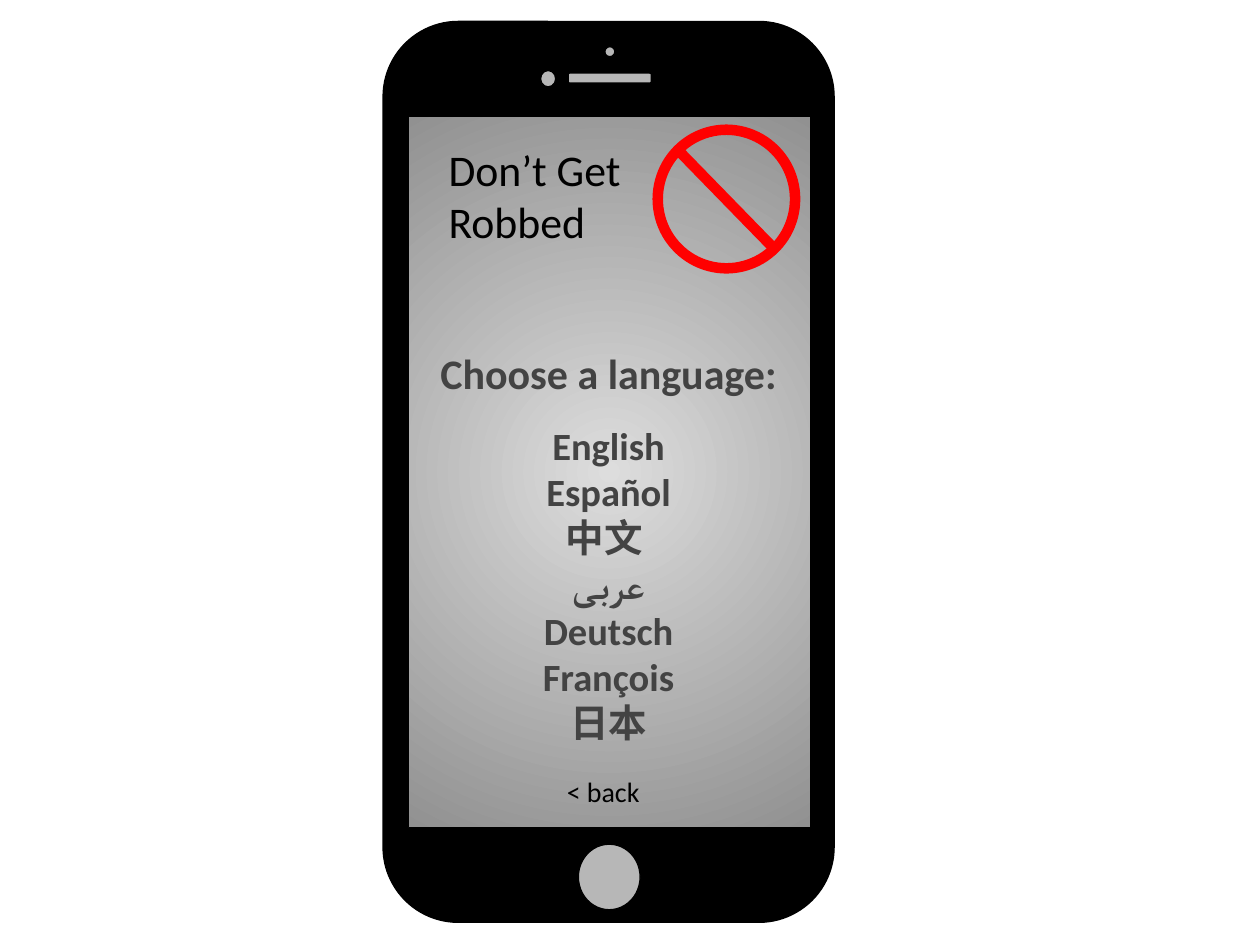
from lxml import etree
from pptx import Presentation
from pptx.dml.color import RGBColor
from pptx.enum import shapes, text
from pptx.oxml import parse_xml
from pptx.oxml.ns import nsdecls, qn
from pptx.util import Inches, Pt

HEX = {"black": "000000", "gray": "B7B7B7", "dark": "434343", "red": "FF0000",
       "glow": "DDDDDD", "edge": "919191"}
TITLE = ["Don’t Get Robbed"]
PROMPT = ["Choose a language:"]
TONGUES = ["English", "Español", "中文 ", "عربى", "Deutsch", "François", "日本"]
BACK = ["< back"]

KIND = shapes.MSO_SHAPE
PHONE = [
    (KIND.ROUNDED_RECTANGLE, (3.04, 0.17, 3.58, 7.15), "black"),
    (KIND.RECTANGLE, (3.24, 0.92, 3.19, 5.65), "glow"),
    (KIND.OVAL, (4.59, 6.7, 0.49, 0.52), "gray"),
    (KIND.ROUNDED_RECTANGLE, (4.51, 0.58, 0.66, 0.08), "gray"),
    (KIND.OVAL, (4.8, 0.37, 0.08, 0.08), "gray"),
    (KIND.OVAL, (4.29, 0.56, 0.12, 0.13), "gray"),
]
RING = (5.22, 1.03, 1.09, 1.1)
SLASH = (5.38, 1.19, 6.15, 1.98)


def color(name):
    return RGBColor.from_string(HEX[name])


def stroke(item, name, width):
    item.line.color.rgb = color(name)
    item.line.width = Pt(width)


def draw(slide, kind, box, fill, line="black", width=0.75):
    item = slide.shapes.add_shape(kind, *map(Inches, box))
    item.shadow.inherit = False
    if fill:
        item.fill.solid()
        item.fill.fore_color.rgb = color(fill)
    else:
        item.fill.background()
    stroke(item, line, width)
    return item


def glow(item):
    stops = "".join(f'<a:gs pos="{pos}"><a:srgbClr val="{HEX[name]}"/></a:gs>'
                    for pos, name in ((0, "glow"), (100000, "edge")))
    grad = parse_xml(
        f'<a:gradFill {nsdecls("a")}><a:gsLst>{stops}</a:gsLst><a:path path="circle">'
        '<a:fillToRect l="50000" t="50000" r="50000" b="50000"/></a:path></a:gradFill>')
    props = item._element.spPr
    props.replace(props.find(qn("a:solidFill")), grad)


def write(item, box, lines, size, name="black", bold=False, align="LEFT"):
    item.left, item.top, item.width, item.height = map(Inches, box)
    frame = item.text_frame
    frame.word_wrap = True
    frame.auto_size = text.MSO_AUTO_SIZE.NONE
    frame.vertical_anchor = text.MSO_ANCHOR.TOP
    frame.margin_left = frame.margin_right = Inches(0.1)
    frame.margin_top = frame.margin_bottom = Inches(0.1)
    frame.text = "\n".join(lines)
    for para in frame.paragraphs:
        props = para._p.get_or_add_pPr()
        props.set("marL", "0")
        props.set("indent", "0")
        etree.SubElement(props, qn("a:buNone"))
        para.alignment = getattr(text.PP_ALIGN, align)
        para.space_before = Pt(0)
        font = para.font
        font.name, font.size, font.bold = "Calibri", Pt(size), bold
        font.color.rgb = color(name)


def main():
    deck = Presentation()
    deck.slide_width, deck.slide_height = Inches(10), Inches(7.5)
    slide = deck.slides.add_slide(deck.slide_layouts[1])
    tree = slide.shapes
    title, body = tree.title, slide.placeholders[1]

    parts = [draw(slide, *part) for part in PHONE]
    glow(parts[1])

    prompt = tree.add_textbox(0, 0, 0, 0)
    write(prompt, (3.12, 2.66, 3.42, 0.92), PROMPT, 24, "dark", True, "CENTER")
    write(body, (3.66, 3.25, 2.34, 2.88), TONGUES, 22, "dark", True, "CENTER")
    write(title, (3.46, 1.03, 2.34, 1.28), TITLE, 25)
    for item in (body, title):
        tree._spTree.append(item._element)

    draw(slide, KIND.OVAL, RING, None, "red", 6)
    slash = tree.add_connector(shapes.MSO_CONNECTOR.STRAIGHT, *map(Inches, SLASH))
    stroke(slash, "red", 6)
    etree.SubElement(slash._element.spPr, qn("a:effectLst"))

    back = tree.add_textbox(0, 0, 0, 0)
    write(back, (4.4, 6.05, 0.87, 0.31), BACK, 16)
    deck.save("out.pptx")


if __name__ == "__main__":
    main()
